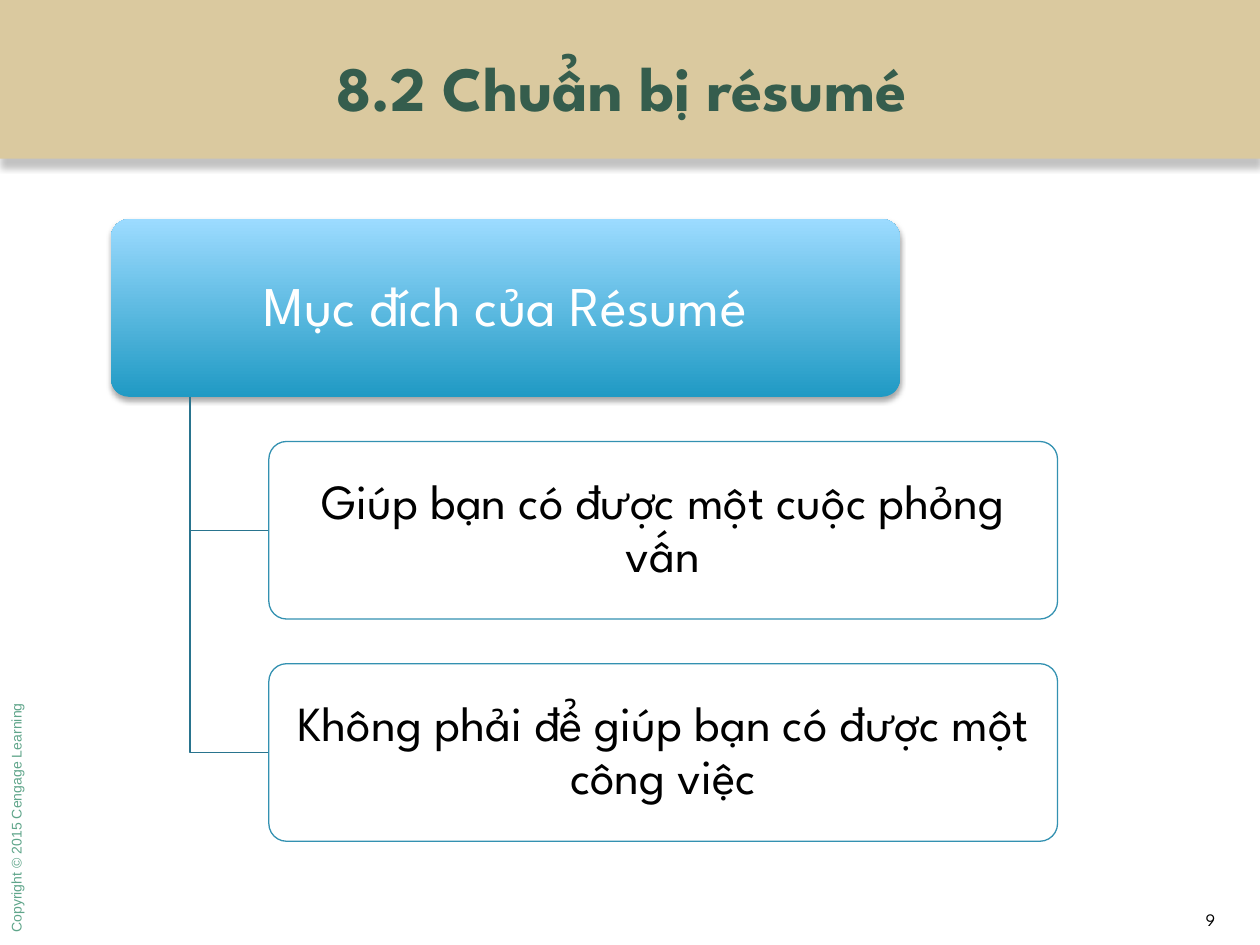
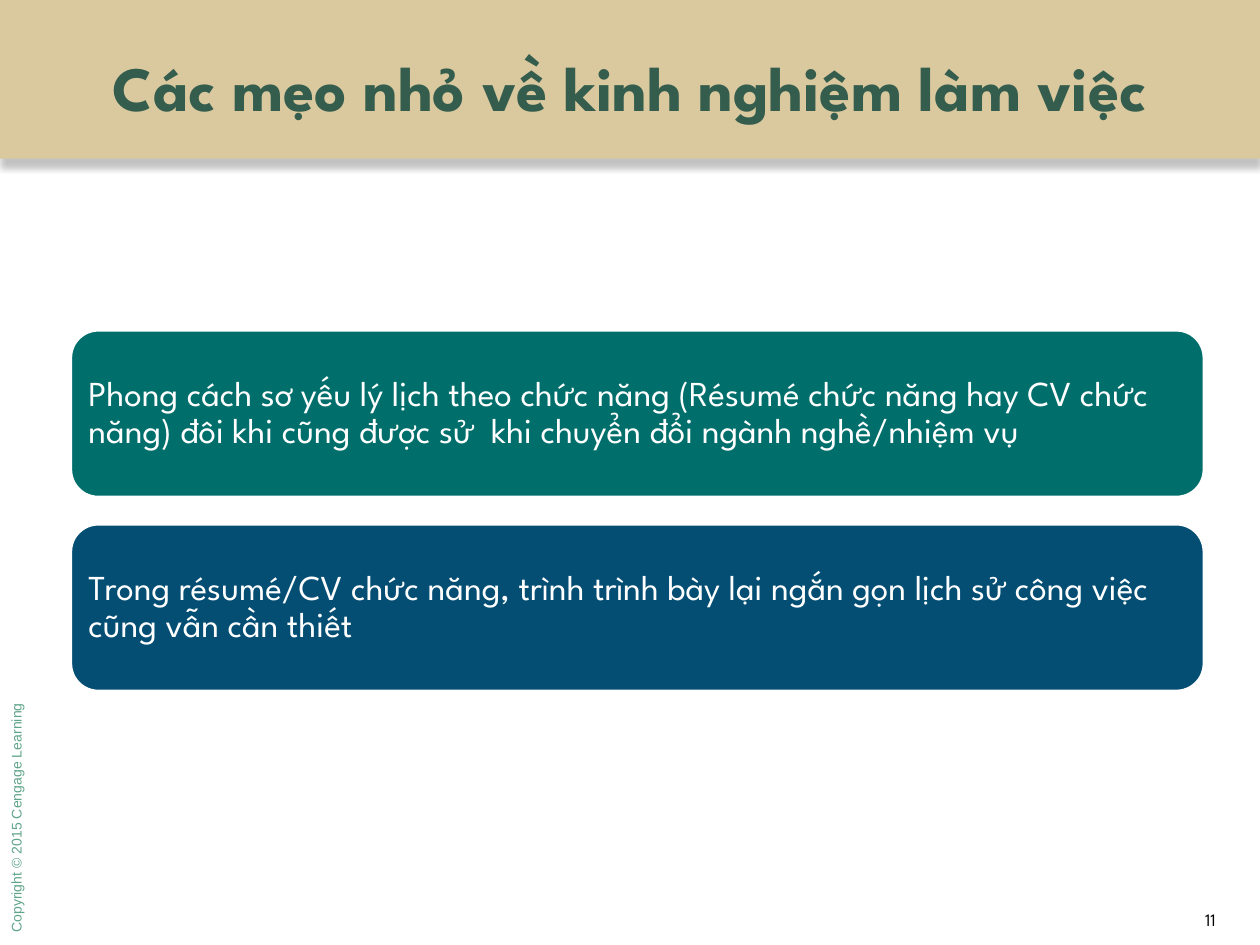
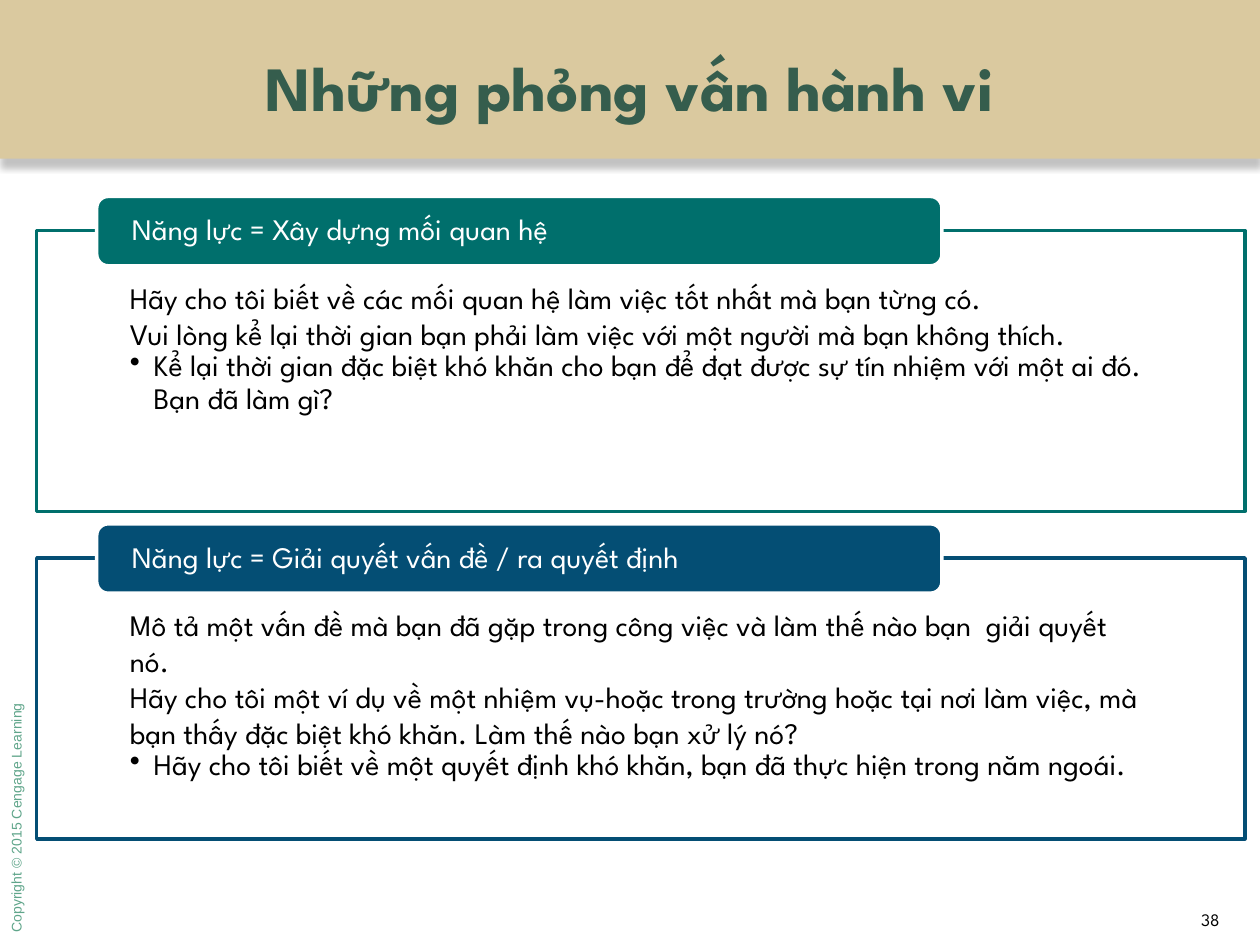
from dataclasses import dataclass

from lxml import etree
from pptx import Presentation
from pptx import util as u
from pptx.dml.color import RGBColor
from pptx.enum import shapes, text
from pptx.oxml.ns import qn

Cm, Pt = u.Cm, u.Pt
ROUND, RECT = shapes.MSO_SHAPE.ROUNDED_RECTANGLE, shapes.MSO_SHAPE.RECTANGLE
LEFT, CENTER = text.PP_ALIGN.LEFT, text.PP_ALIGN.CENTER
TOP, MIDDLE = text.MSO_ANCHOR.TOP, text.MSO_ANCHOR.MIDDLE


@dataclass(frozen=True)
class Theme:
    # Fonts
    font: str = "League Spartan"
    copyright_font: str = "Arial"
    # Colours
    band: str = "DAC99F"
    title: str = "355D4D"
    copyright: str = "5FA58A"
    ink: str = "000000"
    paper: str = "FFFFFF"
    teal: str = "006F6C"
    navy: str = "044E74"
    sky_dark: str = "209AC4"
    sky_light: str = "9CDBFF"
    box_line: str = "3391B1"
    branch: str = "29748E"
    # Type sizes
    title_size: int = 36
    root_size: int = 32
    child_size: int = 28
    card_size: int = 20
    panel_size: int = 17
    number_size: int = 10
    copyright_size: int = 8


def rgb(value):
    return RGBColor.from_string(value)


class SlideBuilder:
    """Holds the deck, its style and the current slide."""

    def __init__(self, theme):
        self.theme = theme
        self.deck = Presentation()
        self.deck.slide_width, self.deck.slide_height = Cm(25.4), Cm(19.05)
        self.page = None

    # Shared parts of each slide
    def new_page(self, title, number):
        theme = self.theme
        self.page = self.deck.slides.add_slide(self.deck.slide_layouts[5])
        heading = self.page.shapes.title
        heading.left, heading.top = Cm(0), Cm(0)
        heading.width, heading.height = Cm(25.4), Cm(3.48)
        self.fill_text(heading, [title], theme.title_size, theme.title,
                       bold=True, spacing=None)

        band = self.box(RECT, 0, 0, 25.4, 3.2, fill=theme.band)
        self.shadow(band, opacity=24, blur=3.6, distance=4.8)
        heading.element.addprevious(band.element)

        self.label(str(number), 23.42, 18.03, 1.96, 1.02, theme.number_size, theme.ink)
        notice = self.label("Copyright © 2015 Cengage Learning", -2.26, 16.18, 5.16, 0.58,
                            theme.copyright_size, theme.copyright, align=LEFT,
                            anchor=TOP, font=theme.copyright_font)
        notice.rotation = 270
        notice.text_frame.word_wrap = False
        notice.text_frame.auto_size = text.MSO_AUTO_SIZE.SHAPE_TO_FIT_TEXT

    # Text
    def fill_text(self, shape, lines, size, color, align=CENTER, anchor=MIDDLE,
                  insets=None, bold=False, spacing=0.9, font=None):
        frame = shape.text_frame
        frame.text = "\n".join(lines)
        frame.word_wrap = True
        frame.vertical_anchor = anchor
        if insets:
            (frame.margin_left, frame.margin_top,
             frame.margin_right, frame.margin_bottom) = map(Cm, insets)
        for para in frame.paragraphs:
            para.alignment = align
            para.line_spacing = spacing
            for span in para.runs:
                span.font.name = font or self.theme.font
                span.font.size = Pt(size)
                span.font.bold = bold
                span.font.color.rgb = rgb(color)

    def label(self, words, left, top, width, height, size, color, **style):
        box = self.page.shapes.add_textbox(Cm(left), Cm(top), Cm(width), Cm(height))
        self.fill_text(box, [words], size, color, spacing=None, **style)
        return box

    def bullet(self, para, indent):
        properties = para._p.get_or_add_pPr()
        properties.set("marL", str(Cm(indent)))
        properties.set("indent", str(-Cm(indent)))
        etree.SubElement(properties, qn("a:buChar")).set("char", "•")

    # Shapes
    def box(self, kind, left, top, width, height, fill, line=None, weight=0.75, radius=None):
        box = self.page.shapes.add_shape(kind, Cm(left), Cm(top), Cm(width), Cm(height))
        box.shadow.inherit = False
        if radius is not None:
            box.adjustments[0] = radius
        box.fill.solid()
        box.fill.fore_color.rgb = rgb(fill)
        if line:
            box.line.color.rgb = rgb(line)
            box.line.width = Pt(weight)
        else:
            box.line.fill.background()
        return box

    def gradient(self, box, bottom, top):
        box.fill.gradient()
        box.fill.gradient_angle = 90
        for stop, color in zip(box.fill.gradient_stops, (bottom, top)):
            stop.color.rgb = rgb(color)

    def opacity(self, box, percent):
        color = box.element.spPr.find(qn("a:solidFill"))[0]
        etree.SubElement(color, qn("a:alpha")).set("val", str(percent * 1000))

    def shadow(self, box, opacity, blur, distance):
        effects = box.element.spPr.find(qn("a:effectLst"))
        outer = etree.SubElement(effects, qn("a:outerShdw"), blurRad=str(Pt(blur)),
                                 dist=str(Pt(distance)), dir="5400000", rotWithShape="0")
        color = etree.SubElement(outer, qn("a:srgbClr"), val=self.theme.ink)
        etree.SubElement(color, qn("a:alpha"), val=str(opacity * 1000))

    def branch(self, left, top, right, bottom):
        outline = self.page.shapes.build_freeform(Cm(left), Cm(top))
        outline.add_line_segments(
            [(Cm(left), Cm(bottom)), (Cm(right), Cm(bottom))], close=False)
        elbow = outline.convert_to_shape()
        elbow.shadow.inherit = False
        elbow.fill.background()
        elbow.line.color.rgb = rgb(self.theme.branch)
        elbow.line.width = Pt(0.75)

    # Slide bodies
    def hierarchy(self, root, children):
        theme = self.theme
        left, top, width, height, pitch = 2.24, 4.42, 15.9, 3.58, 4.48
        child_left, trunk = left + width * 0.2, left + width * 0.1

        root_box = self.box(ROUND, left, top, width, height, theme.sky_dark, radius=0.1)
        self.gradient(root_box, theme.sky_dark, theme.sky_light)
        self.shadow(root_box, opacity=35, blur=3.1, distance=1.8)
        self.fill_text(root_box, [root], theme.root_size, theme.paper,
                       insets=(0.17, 0.11, 0.17, 0.11))

        for row, words in enumerate(children, start=1):
            child_top = top + row * pitch
            self.branch(trunk, top + height, child_left, child_top + height / 2)
            child = self.box(ROUND, child_left, child_top, width, height,
                             theme.paper, theme.box_line, radius=0.1)
            self.opacity(child, 90)
            self.fill_text(child, [words], theme.child_size, theme.ink,
                           insets=(0.15, 0.1, 0.15, 0.1))

    def cards(self, cards):
        theme = self.theme
        for row, (color, words) in enumerate(cards):
            card = self.box(ROUND, 1.42, 6.65 + row * 3.91, 22.86, 3.38,
                            color, theme.paper, weight=2)
            self.fill_text(card, [words], theme.card_size, theme.paper, align=LEFT,
                           insets=(0.2, 0.2, 0.2, 0.2))

    def panels(self, panels):
        theme = self.theme
        for row, (color, heading, questions) in enumerate(panels):
            top = 4.65 + row * 6.6
            panel = self.box(RECT, 0.74, top, 24.36, 5.66, theme.paper, color, weight=2)
            self.opacity(panel, 90)
            self.fill_text(panel, questions, theme.panel_size, theme.ink, align=LEFT,
                           anchor=TOP, insets=(1.88, 0.99, 1.88, 0.33), spacing=1.0)
            last = panel.text_frame.paragraphs[-1]
            self.bullet(last, 0.48)
            last.line_spacing = 0.9

            tab = self.box(ROUND, 1.95, top - 0.69, 17.04, 1.4, color, theme.paper, weight=2)
            self.fill_text(tab, [heading], theme.panel_size, theme.paper, align=LEFT,
                           insets=(0.64, 0, 0.64, 0))


def main():
    theme = Theme()
    builder = SlideBuilder(theme)

    # Purpose of the résumé
    builder.new_page("8.2 Chuẩn bị résumé ", 9)
    builder.hierarchy("Mục đích của Résumé", [
        "Giúp bạn có được một cuộc phỏng vấn",
        "Không phải để giúp bạn có được một công việc",
    ])

    # Work experience tips
    builder.new_page("Các mẹo nhỏ về kinh nghiệm làm việc", 11)
    builder.cards([
        (theme.teal, "Phong cách sơ yếu lý lịch theo chức năng (Résumé chức năng hay CV "
                     "chức năng) đôi khi cũng được sử  khi chuyển đổi ngành nghề/nhiệm vụ"),
        (theme.navy, "Trong résumé/CV chức năng, trình trình bày lại ngắn gọn lịch sử "
                     "công việc cũng vẫn cần thiết"),
    ])

    # Behavioural interviews
    builder.new_page("Những phỏng vấn hành vi", 38)
    builder.panels([
        (theme.teal, "Năng lực = Xây dựng mối quan hệ", [
            "Hãy cho tôi biết về các mối quan hệ làm việc tốt nhất mà bạn từng có.",
            "Vui lòng kể lại thời gian bạn phải làm việc với một người mà bạn không thích.",
            "Kể lại thời gian đặc biệt khó khăn cho bạn để đạt được sự tín nhiệm với "
            "một ai đó. Bạn đã làm gì?",
        ]),
        (theme.navy, "Năng lực = Giải quyết vấn đề / ra quyết định", [
            "Mô tả một vấn đề mà bạn đã gặp trong công việc và làm thế nào bạn  "
            "giải quyết nó.",
            "Hãy cho tôi một ví dụ về một nhiệm vụ-hoặc trong trường hoặc tại nơi làm "
            "việc, mà bạn thấy đặc biệt khó khăn. Làm thế nào bạn xử lý nó?",
            "Hãy cho tôi biết về một quyết định khó khăn, bạn đã thực hiện trong năm ngoái.",
        ]),
    ])

    builder.deck.save("out.pptx")


if __name__ == "__main__":
    main()
